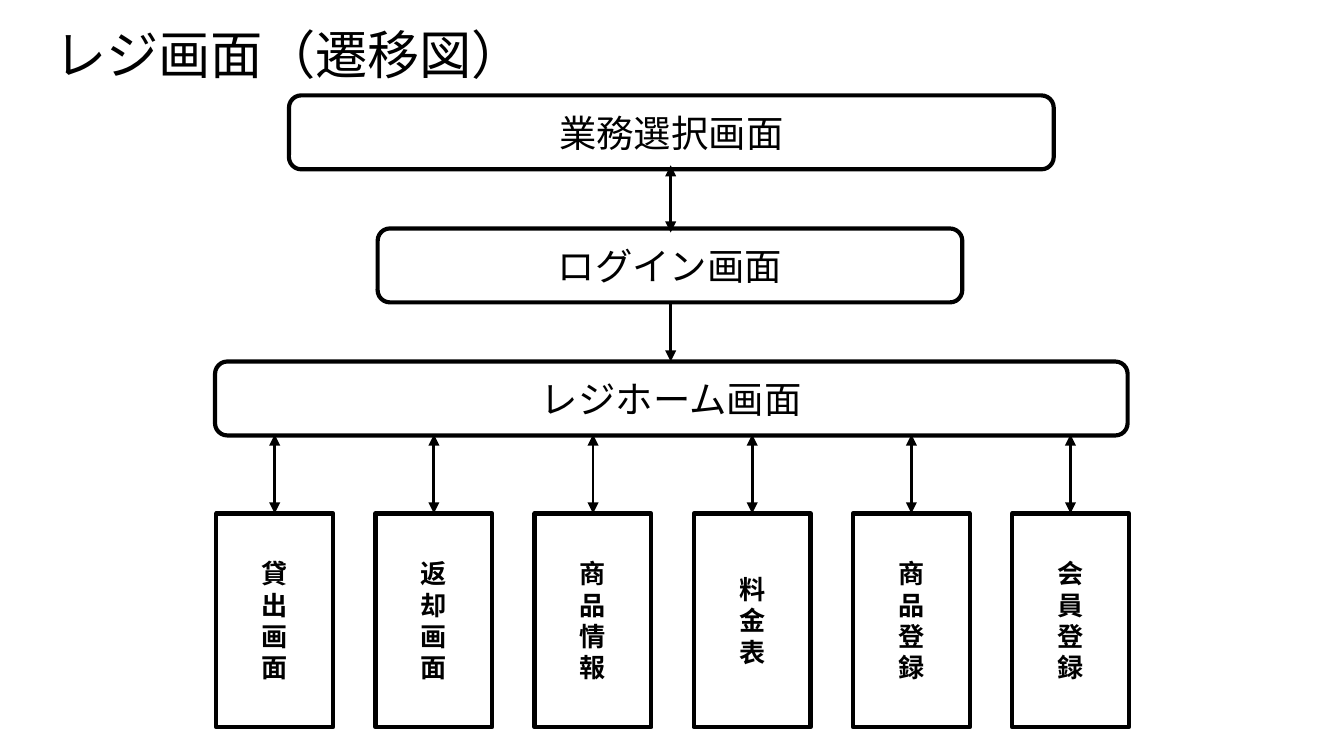
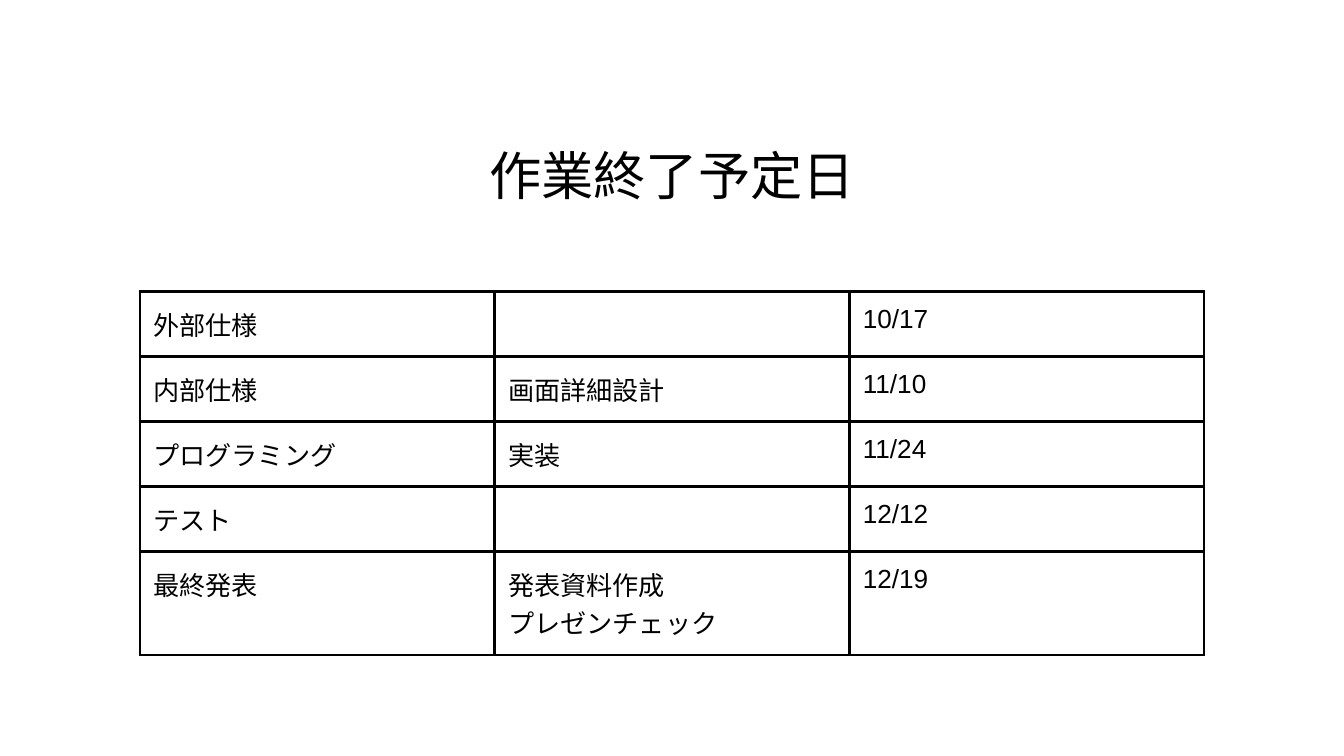
from lxml.etree import SubElement
from pptx import Presentation
from pptx.dml.color import RGBColor
from pptx.enum.shapes import MSO_CONNECTOR as CONN, MSO_SHAPE as SHAPE
from pptx.enum.text import MSO_ANCHOR as ANCHOR, PP_ALIGN as ALIGN
from pptx.oxml.ns import qn
from pptx.util import Pt

FONT = "Arial"
BLACK, WHITE = "000000", "FFFFFF"
INSET = 7.2
SLIDE_W, SLIDE_H = 720, 405
TITLE_W, TITLE_H = 671, 45.4

MAIN_SCREENS = [  # text, left, top, width
    ("業務選択画面", 154.8, 51.1, 409.7),
    ("ログイン画面", 202.3, 122.4, 313.2),
    ("レジホーム画面", 115.2, 193.7, 488.9),
]
MAIN_H = 39.6
SUB_SCREENS = ["貸出画面", "返却画面", "商品情報", "料金表", "商品登録", "会員登録"]
SCHEDULE = [
    ("外部仕様", "", "10/17"),
    ("内部仕様", "画面詳細設計", "11/10"),
    ("プログラミング", "実装", "11/24"),
    ("テスト", "", "12/12"),
    ("最終発表", "発表資料作成\nプレゼンチェック", "12/19"),
]


def color(value):
    """Turn a hex string into a colour."""
    return RGBColor.from_string(value)


def write(tf, text, size=14, bold=False, align=ALIGN.LEFT, ink=BLACK):
    """Write one paragraph for each line of text."""
    for i, line in enumerate(text.split("\n")):
        p = tf.paragraphs[0] if i == 0 else tf.add_paragraph()
        p.alignment = align
        if not line:
            SubElement(p._p, qn("a:endParaRPr"), sz=str(size * 100))
            continue
        r = p.add_run()
        r.text = line
        r.font.name, r.font.size, r.font.bold = FONT, Pt(size), bold
        r.font.color.rgb = color(ink)


def set_frame(tf):
    """Give a text frame the shared insets, wrapping and middle anchor."""
    tf.margin_left = tf.margin_right = tf.margin_top = tf.margin_bottom = Pt(INSET)
    tf.word_wrap = True
    tf.vertical_anchor = ANCHOR.MIDDLE


def add_title(s, text, x, y, align=ALIGN.LEFT):
    """Place a slide title."""
    sp = s.shapes.add_textbox(Pt(x), Pt(y), Pt(TITLE_W), Pt(TITLE_H))
    set_frame(sp.text_frame)
    write(sp.text_frame, text, size=28, align=align)


def add_screen(s, kind, text, x, y, w, h, **fmt):
    """Place an outlined box that stands for one screen."""
    sp = s.shapes.add_shape(kind, Pt(x), Pt(y), Pt(w), Pt(h))
    sp.shadow.inherit = False
    sp.fill.solid()
    sp.fill.fore_color.rgb = color(WHITE)
    sp.line.color.rgb = color(BLACK)
    sp.line.width = Pt(2.25)
    set_frame(sp.text_frame)
    write(sp.text_frame, text, align=ALIGN.CENTER, **fmt)


def add_arrow(s, x, top, bottom, both=True):
    """Draw a vertical arrow, with heads at both ends or at the bottom."""
    c = s.shapes.add_connector(CONN.STRAIGHT, Pt(x), Pt(top), Pt(x), Pt(bottom))
    c.line.color.rgb = color(BLACK)
    c.line.width = Pt(1.5)
    ln = c.line._get_or_add_ln()
    for end in ["headEnd", "tailEnd"] if both else ["tailEnd"]:
        SubElement(ln, qn("a:" + end), type="triangle")
    SubElement(c._element.spPr, qn("a:effectLst"))


def add_sub_screens(s, names, x, y, w, h):
    """Place a row of upright boxes, each with an arrow from above."""
    box_w, arrow_h = 62.6, 42.3
    step = (w - box_w) / (len(names) - 1)
    for i, name in enumerate(names):
        left = x + i * step
        add_screen(s, SHAPE.RECTANGLE, "\n".join(name), left, y + arrow_h,
                   box_w, h - arrow_h, bold=True)
        add_arrow(s, left + box_w / 2, y, y + arrow_h)


def set_borders(cell):
    """Draw all four borders of a cell."""
    tcPr = cell._tc.get_or_add_tcPr()
    for i, side in enumerate(["lnL", "lnR", "lnT", "lnB"]):
        ln = tcPr.makeelement(qn("a:" + side), {"w": str(Pt(1.5))})
        fill = SubElement(ln, qn("a:solidFill"))
        SubElement(fill, qn("a:srgbClr"), val=BLACK)
        tcPr.insert(i, ln)


def add_schedule(s, rows, x, y, w, row_h):
    """Place the schedule table with equal columns."""
    n = len(rows[0])
    table = s.shapes.add_table(len(rows), n, Pt(x), Pt(y), Pt(w),
                               Pt(row_h * len(rows))).table
    table.first_row = table.horz_banding = False
    for col in table.columns:
        col.width = Pt(w / n)
    for i, row in enumerate(rows):
        for j, text in enumerate(row):
            cell = table.cell(i, j)
            cell.margin_left = cell.margin_right = Pt(INSET)
            cell.margin_top = cell.margin_bottom = Pt(INSET)
            cell.fill.background()
            set_borders(cell)
            write(cell.text_frame, text)


def transition_slide(prs):
    """Build the screen transition diagram."""
    s = prs.slides.add_slide(prs.slide_layouts[6])
    add_title(s, " レジ画面（遷移図）", 15.8, 5.8)
    for text, x, y, w in MAIN_SCREENS:
        add_screen(s, SHAPE.ROUNDED_RECTANGLE, text, x, y, w, MAIN_H, size=20)
    add_sub_screens(s, SUB_SCREENS, 115.9, 232.8, 488.9, 156.8)
    add_arrow(s, 359.3, 88.6, 124.6)
    add_arrow(s, 359.3, 162, 193.7, both=False)


def schedule_slide(prs):
    """Build the schedule of finishing dates."""
    s = prs.slides.add_slide(prs.slide_layouts[6])
    add_schedule(s, SCHEDULE, 74.9, 156.2, 570.2, 30.2)
    add_title(s, "作業終了予定日", 24.5, 70.6, align=ALIGN.CENTER)


prs = Presentation()
prs.slide_width, prs.slide_height = Pt(SLIDE_W), Pt(SLIDE_H)
transition_slide(prs)
schedule_slide(prs)
prs.save("out.pptx")
